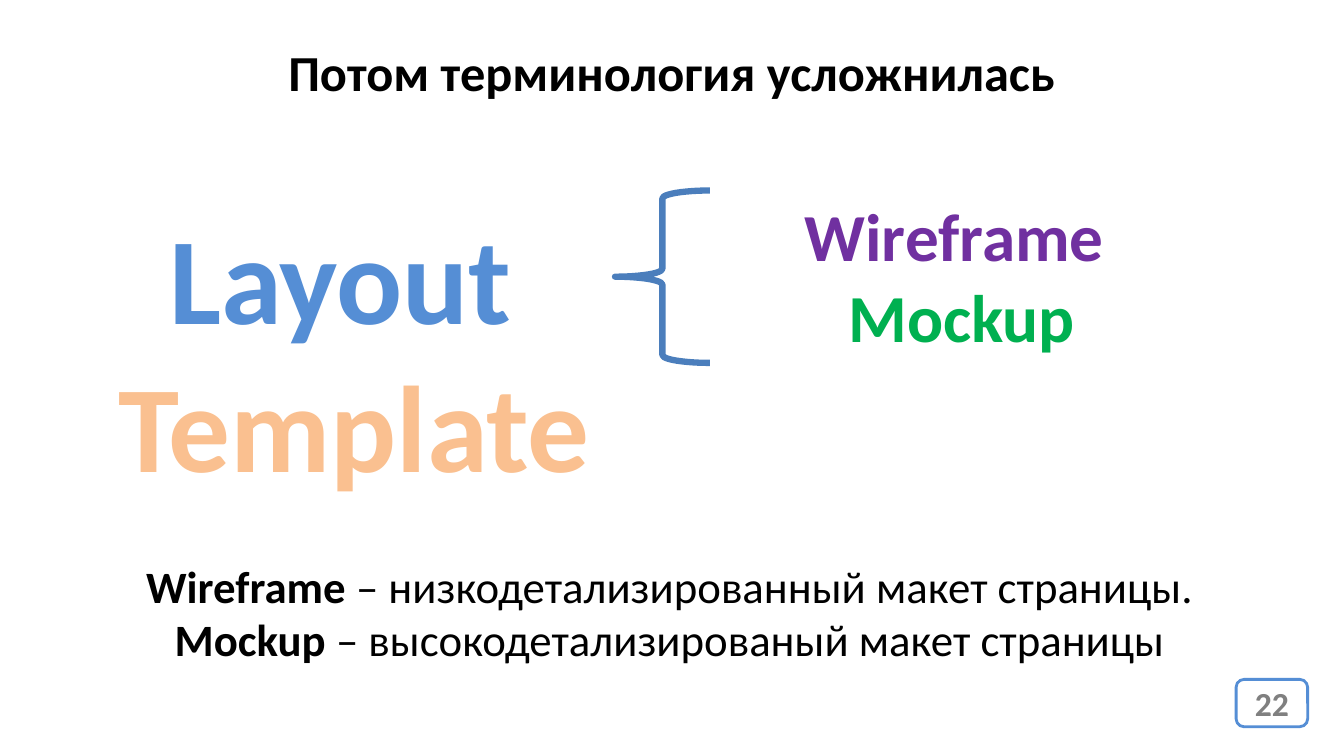
"""Build the slide on layout, template, wireframe and mockup terms."""
import pptx
import pptx.util
import pptx.dml.color
import pptx.enum.shapes
import pptx.enum.text

Inches, Pt = pptx.util.Inches, pptx.util.Pt
Kind = pptx.enum.shapes.MSO_SHAPE


def color(code):
    return pptx.dml.color.RGBColor.from_string(code)


def write(shape, size, lines):
    frame = shape.text_frame
    frame.word_wrap = True
    for i, (bold, plain, code) in enumerate(lines):
        para = frame.paragraphs[0] if i == 0 else frame.add_paragraph()
        para.alignment = pptx.enum.text.PP_ALIGN.CENTER
        para.font.name = "Calibri"
        para.font.size = Pt(size)
        para.font.color.rgb = color(code)
        para.font.bold = not plain
        run = para.add_run()
        run.text = bold
        if plain:
            run.font.bold = True
            para.add_run().text = plain


deck = pptx.Presentation()
deck.slide_width, deck.slide_height = Inches(13.33), Inches(7.5)
slide = deck.slides.add_slide(deck.slide_layouts[6])
shapes = slide.shapes

badge = shapes.add_shape(Kind.ROUNDED_RECTANGLE, *map(Inches, (12.26, 6.74, 0.71, 0.47)))
badge.shadow.inherit = False
badge.fill.solid()
badge.fill.fore_color.rgb = color("FFFFFF")
badge.line.color.rgb = color("558ED5")
badge.line.width = Pt(2)
badge.text_frame.vertical_anchor = pptx.enum.text.MSO_ANCHOR.MIDDLE
write(badge, 24, [("22", "", "808080")])

texts = [
    ((0.3, 1.95, 6.43, 3.06), 88,
     [("Layout ", "", "558ED5"), ("Template", "", "FAC090")]),
    ((0, 0.36, 13.33, 0.71), 36,
     [("Потом терминология усложнилась", "", "000000")]),
    ((-0.02, 5.49, 13.33, 1.18), 32,
     [("Wireframe", " – низкодетализированный макет страницы.", "000000"),
      ("Mockup", " – высокодетализированый макет страницы", "000000")]),
    ((6.51, 1.88, 6.06, 1.72), 48,
     [("Wireframe ", "", "7030A0"), ("Mockup", "", "00B050")]),
]
for place, size, lines in texts:
    write(shapes.add_textbox(*map(Inches, place)), size, lines)

brace = shapes.add_shape(Kind.LEFT_BRACE, *map(Inches, (6.1, 1.89, 0.94, 1.71)))
brace.shadow.inherit = False
brace.fill.background()
brace.line.color.rgb = color("4B7EBC")
brace.line.width = Pt(4.5)

deck.save("out.pptx")
